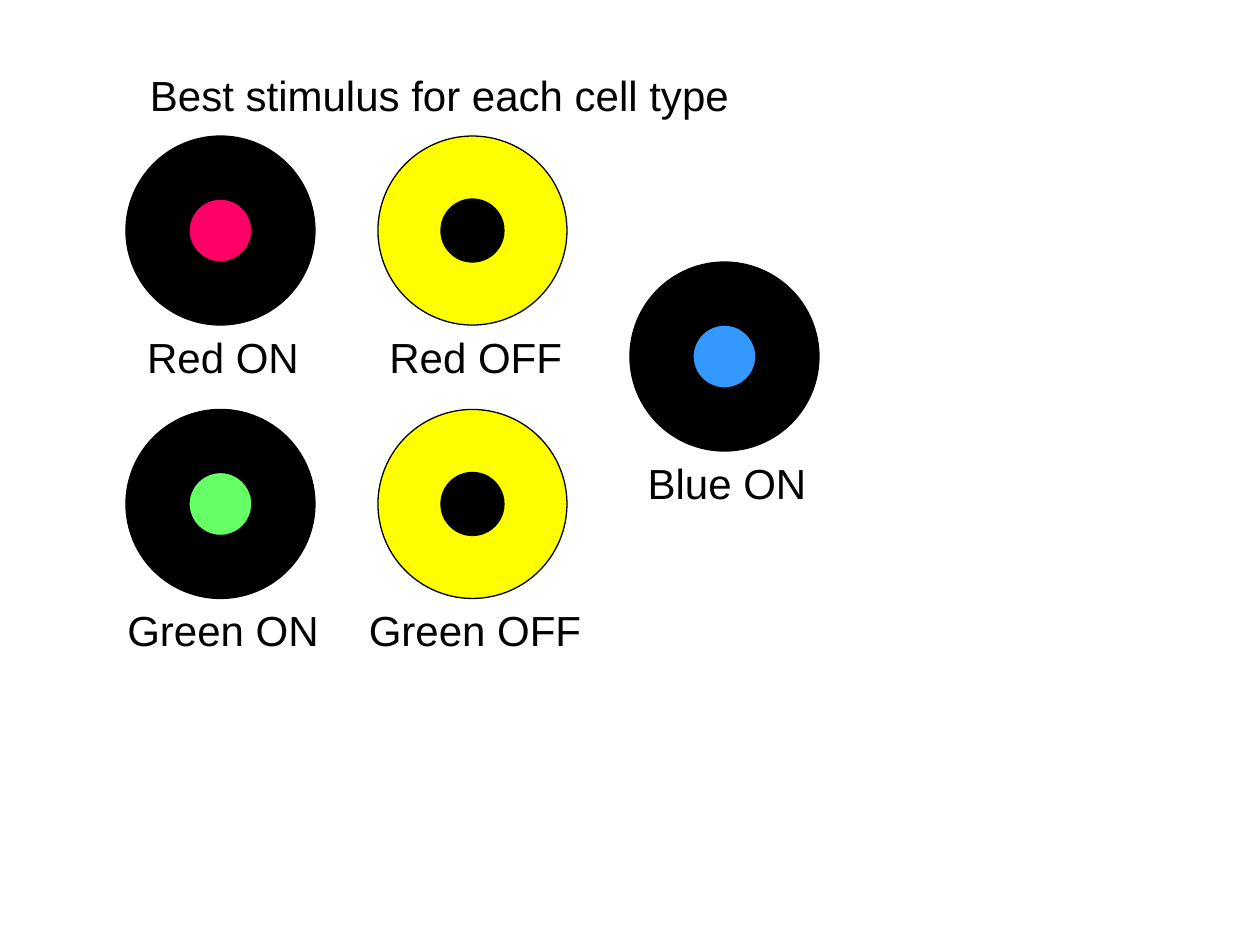
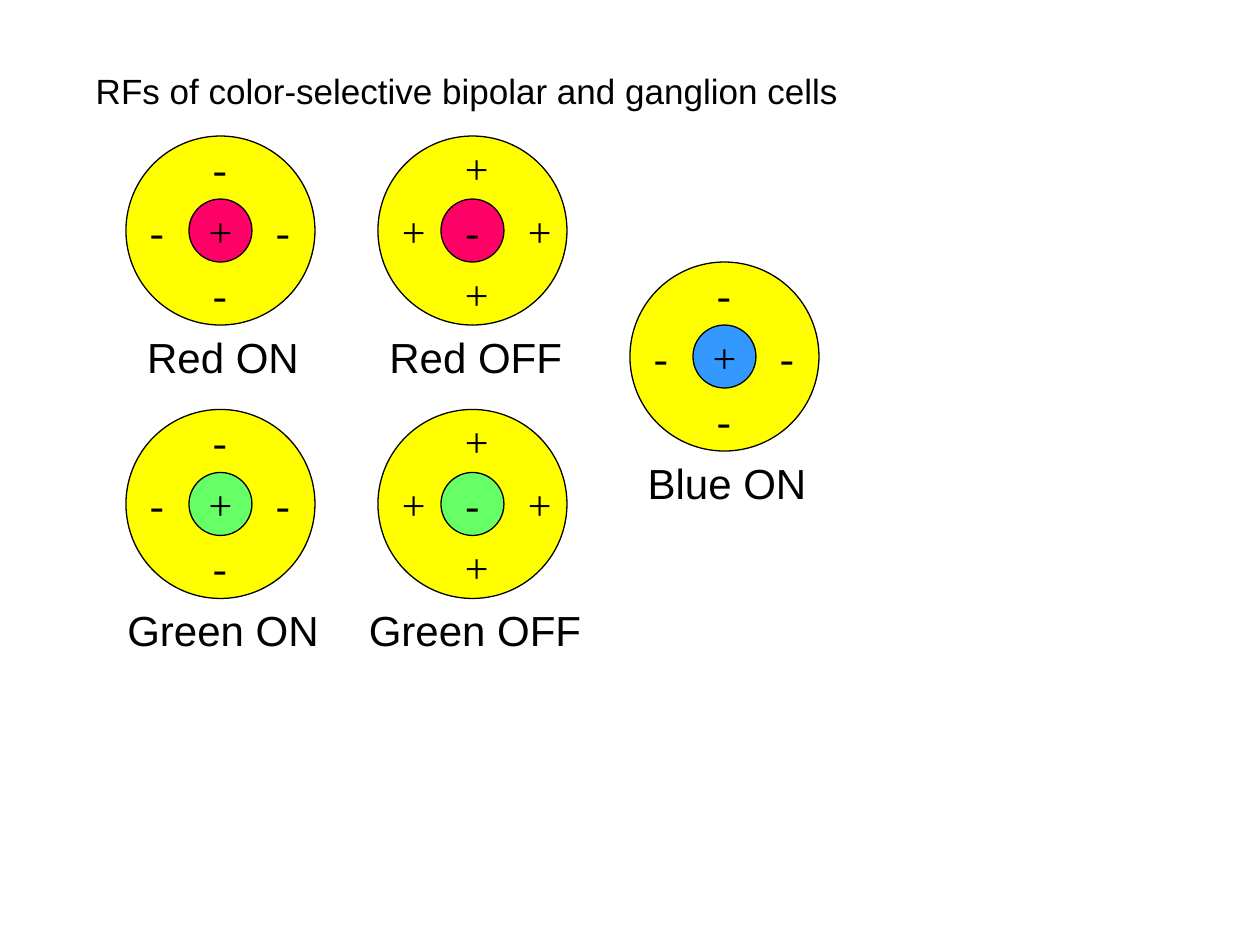
from dataclasses import dataclass

from pptx import Presentation
from pptx.dml.color import RGBColor
from pptx.enum.shapes import MSO_SHAPE
from pptx.enum.text import MSO_ANCHOR, MSO_AUTO_SIZE, PP_ALIGN
from pptx.shapes.autoshape import Shape
from pptx.slide import Slide
from pptx.util import Emu, Pt

EMU_PER_PX = 9144  # 100 px to the inch

BLACK = "000000"
YELLOW = "FFFF00"
RED = "FF0066"
GREEN = "66FF66"
BLUE = "3399FF"

LABEL_FONT = "Arial"
SIGN_FONT = "Times New Roman"

SURROUND_SIZE = 150
CENTER_SIZE = 50
CENTER_INSET = (SURROUND_SIZE - CENTER_SIZE) // 2
LINE_HEIGHT = 50
LABEL_CENTER = 77
SIGN_WIDTHS = {"+": 39, "-": 31}
SIGN_OFFSETS = [(59, 0), (9, 50), (109, 50), (59, 100)]


@dataclass(frozen=True)
class Cell:
    name: str
    left: int
    top: int
    label_width: int
    color: str
    is_on: bool


CELLS = [
    Cell("Red ON", 100, 108, 140, RED, True),
    Cell("Red OFF", 300, 108, 157, RED, False),
    Cell("Green ON", 100, 325, 172, GREEN, True),
    Cell("Green OFF", 300, 325, 188, GREEN, False),
    Cell("Blue ON", 500, 208, 146, BLUE, True),
]


def px(length: int) -> Emu:
    return Emu(length * EMU_PER_PX)


def rgb(color: str) -> RGBColor:
    return RGBColor.from_string(color)


def write(shape: Shape, text: str, *, font: str = LABEL_FONT, size: int = 24,
          align: PP_ALIGN = PP_ALIGN.LEFT,
          anchor: MSO_ANCHOR = MSO_ANCHOR.TOP) -> None:
    frame = shape.text_frame
    frame.word_wrap = False
    frame.auto_size = MSO_AUTO_SIZE.NONE
    frame.vertical_anchor = anchor
    para = frame.paragraphs[0]
    para.alignment = align
    span = para.add_run()
    span.text = text
    span.font.name = font
    span.font.size = Pt(size)
    span.font.color.rgb = rgb(BLACK)


def add_text(page: Slide, text: str, left: int, top: int, width: int,
             **text_format) -> None:
    box = page.shapes.add_textbox(px(left), px(top), px(width), px(LINE_HEIGHT))
    write(box, text, **text_format)


def add_disc(page: Slide, left: int, top: int, size: int, color: str) -> Shape:
    disc = page.shapes.add_shape(MSO_SHAPE.OVAL, px(left), px(top), px(size), px(size))
    disc.shadow.inherit = False
    disc.fill.solid()
    disc.fill.fore_color.rgb = rgb(color)
    disc.line.color.rgb = rgb(BLACK)
    disc.line.width = Pt(0.75)
    return disc


def add_cell(page: Slide, cell: Cell, surround: str, center: str) -> Shape:
    """Draw the two discs and the label, and return the center disc."""
    add_disc(page, cell.left, cell.top, SURROUND_SIZE, surround)
    center_disc = add_disc(page, cell.left + CENTER_INSET, cell.top + CENTER_INSET,
                           CENTER_SIZE, center)
    add_text(page, cell.name, cell.left + LABEL_CENTER - cell.label_width // 2,
             cell.top + SURROUND_SIZE, cell.label_width, align=PP_ALIGN.CENTER)
    return center_disc


def add_stimulus(page: Slide, cell: Cell) -> None:
    if cell.is_on:
        add_cell(page, cell, BLACK, cell.color)
    else:
        add_cell(page, cell, YELLOW, BLACK)


def add_receptive_field(page: Slide, cell: Cell) -> None:
    center_sign, surround_sign = ("+", "-") if cell.is_on else ("-", "+")
    center_disc = add_cell(page, cell, YELLOW, cell.color)
    write(center_disc, center_sign, font=SIGN_FONT, align=PP_ALIGN.CENTER,
          anchor=MSO_ANCHOR.MIDDLE)
    for across, down in SIGN_OFFSETS:
        add_text(page, surround_sign, cell.left + across, cell.top + down,
                 SIGN_WIDTHS[surround_sign], font=SIGN_FONT)


def add_page(deck: Presentation, title: str, left: int, width: int, height: int,
             size: int) -> Slide:
    page = deck.slides.add_slide(deck.slide_layouts.get_by_name("Title Only"))
    box = page.shapes.title
    box.left, box.top, box.width, box.height = px(left), px(50), px(width), px(height)
    write(box, title, size=size)
    return page


def main() -> None:
    deck = Presentation()
    deck.slide_width, deck.slide_height = px(1000), px(750)

    stimulus_page = add_page(deck, "Best stimulus for each cell type",
                             109, 500, 50, 24)
    field_page = add_page(deck, "RFs of color-selective bipolar and ganglion cells",
                          66, 630, 44, 20)
    for cell in CELLS:
        add_stimulus(stimulus_page, cell)
        add_receptive_field(field_page, cell)

    deck.save("out.pptx")


if __name__ == "__main__":
    main()
